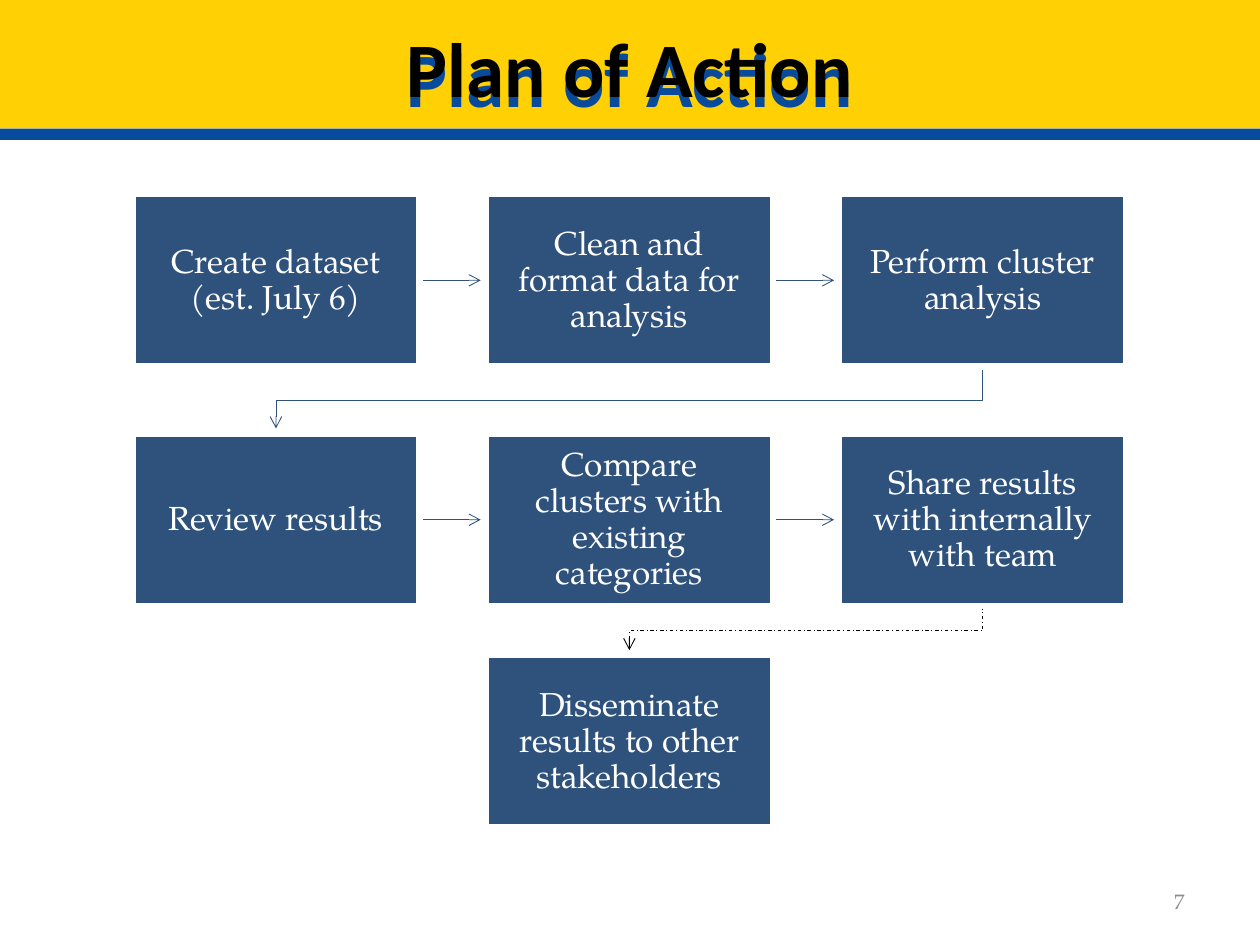
import dataclasses

import pptx
import pptx.dml.color
import pptx.enum.dml
import pptx.enum.shapes
import pptx.enum.text
import pptx.oxml
import pptx.oxml.ns
import pptx.util
from pptx.util import Inches

RECT = pptx.enum.shapes.MSO_SHAPE.RECTANGLE
STRAIGHT = pptx.enum.shapes.MSO_CONNECTOR.STRAIGHT
ALIGN = pptx.enum.text.PP_ALIGN
NS = pptx.oxml.ns.nsdecls("a")


@dataclasses.dataclass(frozen=True)
class Theme:
    """Colours, fonts and type sizes of the slide."""
    gold: str = "FFD004"
    blue: str = "084A9C"
    navy: str = "2F527D"
    white: str = "FFFFFF"
    black: str = "000000"
    grey: str = "8C8C8C"
    heading: str = "Calibri"
    body: str = "TeX Gyre Pagella"
    title_size: int = 44
    step_size: int = 19
    number_size: int = 12
    border: float = 3.78
    arrow: float = 0.5


THEME = Theme()
STEPS = [
    (0, 0, "Create dataset (est. July 6)"),
    (0, 1, "Clean and format data for analysis"),
    (0, 2, "Perform cluster analysis"),
    (1, 0, "Review results"),
    (1, 1, "Compare clusters with existing categories"),
    (1, 2, "Share results with internally with team"),
    (2, 1, "Disseminate results to other stakeholders"),
]
ROW_OFFSETS = (Inches(0), Inches(1.9), Inches(3.66))
STEP_W, STEP_H = Inches(2.28), Inches(1.37)
ARROW_GAP = Inches(0.04)


def rgb(value):
    """Return a colour from its hex value."""
    return pptx.dml.color.RGBColor.from_string(value)


def write(shape, text, align, font, size, color, bold=False):
    """Fill a shape with one formatted, vertically centred paragraph."""
    tf = shape.text_frame
    tf.word_wrap = True
    tf.vertical_anchor = pptx.enum.text.MSO_ANCHOR.MIDDLE
    tf.text = text
    p = tf.paragraphs[0]
    p.alignment = align
    r = p.runs[0]
    r.font.name, r.font.size, r.font.bold = font, pptx.util.Pt(size), bold
    r.font.color.rgb = rgb(color)
    return p


def add_block(s, box, color):
    """Add a plain rectangle without outline or shadow."""
    sp = s.shapes.add_shape(RECT, *box)
    sp.shadow.inherit = False
    sp.fill.solid()
    sp.fill.fore_color.rgb = rgb(color)
    sp.line.fill.background()
    return sp


def add_header(s, box):
    """Place the gold band, the blue rule and the shadowed title."""
    left, top, width, height = box
    rule = Inches(0.09)
    add_block(s, (left, top, width, height - rule), THEME.gold)
    add_block(s, (left, top + height - rule, width, rule), THEME.blue)
    title = s.shapes.title
    title.left, title.top = left, top + Inches(0.15)
    title.width, title.height = width, Inches(0.76)
    write(title, "Plan of Action", ALIGN.CENTER, THEME.heading,
          THEME.title_size, THEME.black, True)
    title._element.spPr.append(pptx.oxml.parse_xml(
        f'<a:effectLst {NS}><a:outerShdw dist="{Inches(0.08)}" dir="5400000" '
        f'algn="t" rotWithShape="0"><a:srgbClr val="{THEME.blue}"/>'
        '</a:outerShdw></a:effectLst>'))
    title._element.getparent().append(title._element)


def add_step(s, box, text):
    """Place one step of the flow."""
    sp = add_block(s, box, THEME.navy)
    sp.line.color.rgb = rgb(THEME.white)
    sp.line.width = pptx.util.Pt(THEME.border)
    tf = sp.text_frame
    tf.margin_left = tf.margin_right = Inches(0.15)
    tf.margin_top = tf.margin_bottom = Inches(0.15)
    p = write(sp, text, ALIGN.CENTER, THEME.body, THEME.step_size, THEME.white)
    p.line_spacing = 0.9
    return sp


def style_arrow(arrow, source, color, dash=None):
    """Format an arrow and put it behind the step it leaves."""
    arrow.line.color.rgb = rgb(color)
    arrow.line.width = pptx.util.Pt(THEME.arrow)
    if dash is not None:
        arrow.line.dash_style = dash
    ln = arrow._element.spPr.find(pptx.oxml.ns.qn("a:ln"))
    ln.append(pptx.oxml.parse_xml(f'<a:tailEnd {NS} type="arrow"/>'))
    source._element.addprevious(arrow._element)


def add_side_arrow(s, source, target):
    """Lead from one step to the next in its row."""
    y = source.top + source.height // 2
    arrow = s.shapes.add_connector(
        STRAIGHT, source.left + source.width, y, target.left - ARROW_GAP, y)
    arrow.begin_connect(source, 3)
    arrow._element.spPr.append(pptx.oxml.parse_xml(f"<a:effectLst {NS}/>"))
    style_arrow(arrow, source, THEME.navy)


def add_return_arrow(s, source, target, color, dash=None):
    """Lead down from a step and back to one in the row below."""
    x1, x2 = (sp.left + sp.width // 2 for sp in (source, target))
    bottom = source.top + source.height
    middle = (bottom + target.top) // 2
    builder = s.shapes.build_freeform(x1, bottom)
    builder.add_line_segments(
        [(x1, middle), (x2, middle), (x2, target.top - ARROW_GAP)], close=False)
    arrow = builder.convert_to_shape()
    arrow.shadow.inherit = False
    arrow.fill.background()
    style_arrow(arrow, source, color, dash)


def add_flow(s, box):
    """Place the steps on a three-column grid and join them."""
    left, top, width, _ = box
    pitch = (width - STEP_W) // 2
    steps = [
        add_step(s, (left + col * pitch, top + ROW_OFFSETS[row], STEP_W, STEP_H), text)
        for row, col, text in STEPS]
    for i in (0, 1, 3, 4):
        add_side_arrow(s, steps[i], steps[i + 1])
    add_return_arrow(s, steps[2], steps[3], THEME.navy)
    add_return_arrow(s, steps[5], steps[6], THEME.black,
                     pptx.enum.dml.MSO_LINE.DASH_DOT)


def add_number(s, box):
    """Place the slide number."""
    write(s.shapes.add_textbox(*box), "7", ALIGN.RIGHT, THEME.body,
          THEME.number_size, THEME.grey)


def main():
    """Build and save the slide."""
    prs = pptx.Presentation()
    prs.slide_width, prs.slide_height = Inches(10), Inches(7.5)
    s = prs.slides.add_slide(prs.slide_layouts[5])
    add_number(s, (Inches(7.17), Inches(6.95), Inches(2.33), Inches(0.4)))
    add_flow(s, (Inches(1.05), Inches(1.54), Inches(7.89), Inches(5.03)))
    add_header(s, (Inches(0), Inches(0), Inches(10), Inches(1.11)))
    prs.save("out.pptx")


if __name__ == "__main__":
    main()
